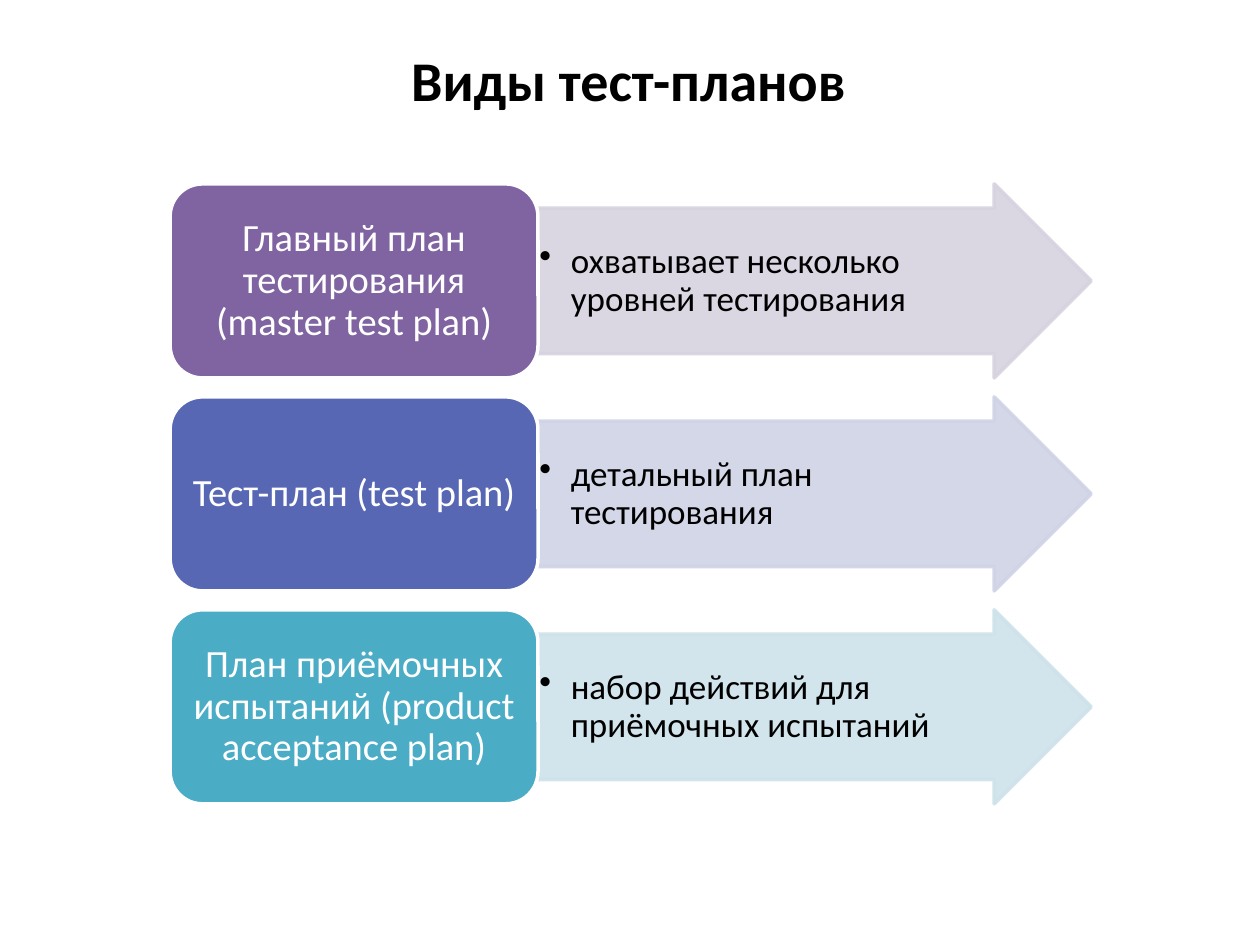
from dataclasses import dataclass

from lxml import etree
from pptx import Presentation
from pptx.dml.color import RGBColor
from pptx.enum.shapes import MSO_SHAPE
from pptx.enum.text import MSO_ANCHOR, PP_ALIGN
from pptx.oxml.ns import qn
from pptx.util import Inches, Pt

ARROW = MSO_SHAPE.RIGHT_ARROW
ROUNDED = MSO_SHAPE.ROUNDED_RECTANGLE
MIDDLE = MSO_ANCHOR.MIDDLE
CENTER, LEFT = PP_ALIGN.CENTER, PP_ALIGN.LEFT
FONT = "Calibri"
BLACK, WHITE = "000000", "FFFFFF"

# Slide and row grid, in inches
SLIDE_WIDTH, SLIDE_HEIGHT = 10, 7.5
GRID_LEFT, GRID_TOP = 1.35, 1.46
LABEL_WIDTH, ARROW_WIDTH = 2.92, 4.39
ROW_HEIGHT, ROW_STEP = 1.54, 1.69
ARROW_LEFT = GRID_LEFT + LABEL_WIDTH
LABEL_PADDING = 0.075
LABEL_LINE = 0.33


@dataclass
class PlanKind:
    label: str
    label_lines: int
    description: str
    color: str
    tint: str


@dataclass
class Area:
    left: float
    top: float
    width: float
    height: float

    def emu(self) -> list:
        return [Inches(n) for n in (self.left, self.top, self.width, self.height)]


PLANS = [
    PlanKind("Главный план тестирования (master test plan)", 3,
             "охватывает несколько уровней тестирования", "8064A2", "D7D2DF"),
    PlanKind("Тест-план (test plan)", 1,
             "детальный план тестирования", "5767B4", "D0D3E5"),
    PlanKind("План приёмочных испытаний (product acceptance plan)", 3,
             "набор действий для приёмочных испытаний", "4BACC6", "CEE2EA"),
]


def rgb(color: str) -> RGBColor:
    return RGBColor.from_string(color)


def add_block(page, kind, area: Area, fill: str, line: str, adjustments: list,
              opacity: int = 100) -> None:
    block = page.shapes.add_shape(kind, *area.emu())
    block.shadow.inherit = False
    for index, value in enumerate(adjustments):
        block.adjustments[index] = value
    block.fill.solid()
    block.fill.fore_color.rgb = rgb(fill)
    block.line.color.rgb = rgb(line)
    block.line.width = Pt(2)
    if opacity < 100:
        for color in block._element.spPr.iter(qn("a:srgbClr")):
            etree.SubElement(color, qn("a:alpha"), val=str(opacity * 1000))


def add_text(page, area: Area, text: str, size: int, color: str, align=CENTER,
             inset: float = 0.05, spacing: float = 1.0, bold: bool = False,
             bullet: bool = False) -> None:
    box = page.shapes.add_textbox(*area.emu())
    frame = box.text_frame
    frame.word_wrap = True
    frame.vertical_anchor = MIDDLE
    frame.margin_left = frame.margin_right = Inches(inset)
    frame.margin_top = frame.margin_bottom = Inches(inset)
    para = frame.paragraphs[0]
    para.alignment = align
    para.line_spacing = spacing
    if bullet:
        para.level = 1
        properties = para._p.get_or_add_pPr()
        properties.set("marL", str(Inches(0.25)))
        properties.set("indent", str(Inches(-0.25)))
        etree.SubElement(properties, qn("a:buChar"), char="•")
    span = para.add_run()
    span.text = text
    span.font.name = FONT
    span.font.size = Pt(size)
    span.font.bold = bold
    span.font.color.rgb = rgb(color)


def add_plan(page, row: int, plan: PlanKind) -> None:
    top = GRID_TOP + row * ROW_STEP
    middle = top + ROW_HEIGHT / 2

    # Arrow with the description
    add_block(page, ARROW, Area(ARROW_LEFT, top, ARROW_WIDTH, ROW_HEIGHT),
              plan.tint, plan.tint, [0.75, 0.5], opacity=90)
    height = 0.63
    add_text(page, Area(ARROW_LEFT, middle - height / 2, 3.81, height),
             plan.description, 20, BLACK, LEFT, inset=0.01, spacing=0.9, bullet=True)

    # Rounded label with the kind of plan
    add_block(page, ROUNDED, Area(GRID_LEFT, top, LABEL_WIDTH, ROW_HEIGHT),
              plan.color, WHITE, [0.167])
    height = 0.1 + plan.label_lines * LABEL_LINE
    add_text(page, Area(GRID_LEFT + LABEL_PADDING, middle - height / 2,
                        LABEL_WIDTH - 2 * LABEL_PADDING, height),
             plan.label, 22, WHITE, spacing=0.9)


def main() -> None:
    deck = Presentation()
    deck.slide_width = Inches(SLIDE_WIDTH)
    deck.slide_height = Inches(SLIDE_HEIGHT)
    page = deck.slides.add_slide(deck.slide_layouts[6])

    # Title
    add_text(page, Area(0.34, 0.32, 9.3, 0.61), "Виды тест-планов", 32, BLACK, bold=True)

    # One row for each kind of plan
    for row, plan in enumerate(PLANS):
        add_plan(page, row, plan)

    deck.save("out.pptx")


if __name__ == "__main__":
    main()
